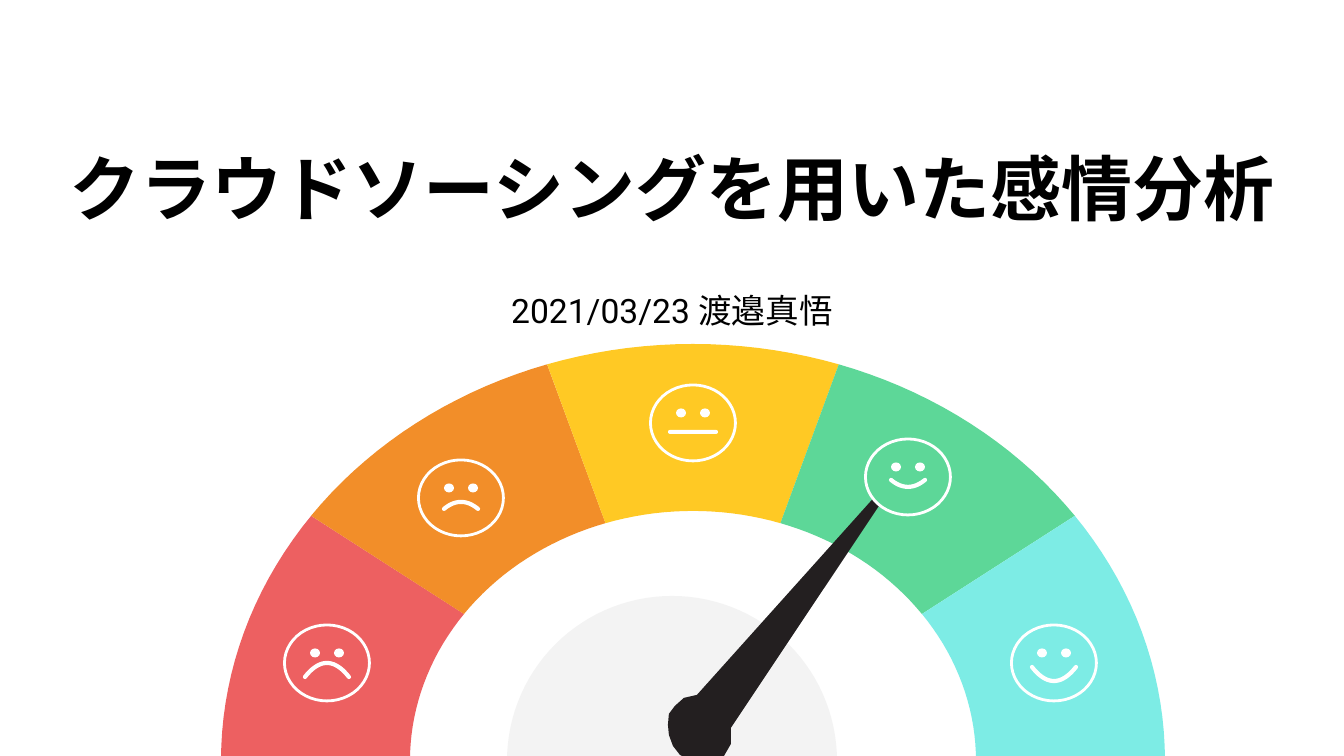
from math import cos, radians, sin

from lxml.etree import SubElement
from pptx import Presentation
from pptx.dml.color import RGBColor
from pptx.enum.shapes import MSO_SHAPE as Shape
from pptx.enum.text import MSO_ANCHOR as Anchor
from pptx.enum.text import MSO_AUTO_SIZE as AutoSize
from pptx.enum.text import PP_ALIGN as Align
from pptx.util import Pt

PX = 914400 / 134.4
hex_color = RGBColor.from_string

RED, ORANGE, YELLOW = "ED6061", "F28E29", "FFC924"
GREEN, AQUA = "5DD798", "7DECE5"
WHITE, GREY, BLACK = "FFFFFF", "F3F3F3", "231F20"


def write_text(shape, text, box, size, font, bold, anchor, spacing):
    shape.left, shape.top, shape.width, shape.height = [round(n * PX) for n in box]
    frame = shape.text_frame
    frame.word_wrap = True
    frame.auto_size = AutoSize.NONE
    frame.vertical_anchor = anchor
    frame.margin_left = frame.margin_right = round(13 * PX)
    frame.margin_top = frame.margin_bottom = round(13 * PX)
    paragraph = frame.paragraphs[0]
    paragraph.alignment = Align.CENTER
    paragraph.line_spacing = spacing
    paragraph.space_before = Pt(0)
    run = paragraph.add_run()
    run.text = text
    run.font.name = font
    run.font.size = Pt(size)
    run.font.bold = bold
    run.font.color.rgb = hex_color("000000")


def paint(shape, fill=None, line=None, width=0.75):
    shape.shadow.inherit = False
    if fill:
        shape.fill.solid()
        shape.fill.fore_color.rgb = hex_color(fill)
    else:
        shape.fill.background()
    if line:
        shape.line.color.rgb = hex_color(line)
        shape.line.width = Pt(width)
    else:
        shape.line.fill.background()


presentation = Presentation()
presentation.slide_width = round(1344 * PX)
presentation.slide_height = round(756 * PX)
slide = presentation.slides.add_slide(presentation.slide_layouts[0])
shapes = slide.shapes

write_text(shapes.title, "クラウドソーシングを用いた感情分析", box=(46, 60, 1252, 183),
           size=38, font="Arial Narrow", bold=True, anchor=Anchor.BOTTOM, spacing=1.25)
write_text(slide.placeholders[1], "2021/03/23 渡邉真悟", box=(46, 271, 1252, 66),
           size=18, font="Roboto", bold=False, anchor=Anchor.TOP, spacing=1.15)

outlines = []
base_y = 761
for index, fill in enumerate([RED, ORANGE, YELLOW, GREEN, AQUA]):
    angles = [radians(180 - 36 * index - step) for step in range(0, 37, 2)]
    outer = [(693 - -472 * cos(a), base_y - 417 * sin(a)) for a in angles]
    inner = [(693 + 283 * cos(a), base_y - 250 * sin(a)) for a in reversed(angles)]
    outlines.append((outer + inner, fill))

dial = [(672 + 165 * cos(radians(a)), base_y - 165 * sin(radians(a)))
        for a in range(0, 181, 3)]
outlines.append((dial, GREY))

needle = [(915, 452), (697, 695), (684, 698), (675, 706), (669, 714), (668, 725),
          (669, 735), (673, 746), (680, 755), (694, 762), (710, 764), (723, 758),
          (731, 744), (731, 728)]
outlines.append((needle, BLACK))

for points, fill in outlines:
    points = [(x * PX, y * PX) for x, y in points]
    builder = shapes.build_freeform(*points[0])
    builder.add_line_segments(points[1:])
    paint(builder.convert_to_shape(), fill)

faces = [
    (693, 423, YELLOW, 25, 9, 9),
    (1054, 663, AQUA, 22, 18, 4),
    (327, 663, RED, 22, 0, 14),
    (461, 498, ORANGE, 17, 4, 11),
    (908, 477, GREEN, 17, 10, 3),
]
for x, y, fill, half_mouth, middle, corner in faces:
    ovals = [(x, y, 85, 76, fill, WHITE)]
    ovals += [(x + side, y - 10, 10, 9, WHITE, None) for side in (-12, 12)]
    for center_x, center_y, width, height, inside, line in ovals:
        oval = shapes.add_shape(
            Shape.OVAL, round((center_x - width / 2) * PX),
            round((center_y - height / 2) * PX), round(width * PX), round(height * PX))
        paint(oval, inside, line, 1.5)

    if middle == corner:
        mouth = shapes.add_shape(
            Shape.ROUNDED_RECTANGLE, round((x - half_mouth) * PX),
            round((y + middle - 2) * PX), round(2 * half_mouth * PX), round(4 * PX))
        mouth.adjustments[0] = 0.5
        paint(mouth, WHITE)
    else:
        curve = [((x + half_mouth * t / 10) * PX,
                  (y + middle + (corner - middle) * t * t / 100) * PX)
                 for t in range(-10, 11)]
        builder = shapes.build_freeform(*curve[0])
        builder.add_line_segments(curve[1:], close=False)
        mouth = builder.convert_to_shape()
        paint(mouth, line=WHITE, width=2.25)
        outline = mouth.line._get_or_add_ln()
        outline.set("cap", "rnd")
        SubElement(outline, "{http://schemas.openxmlformats.org/drawingml/2006/main}round")

presentation.save("out.pptx")
